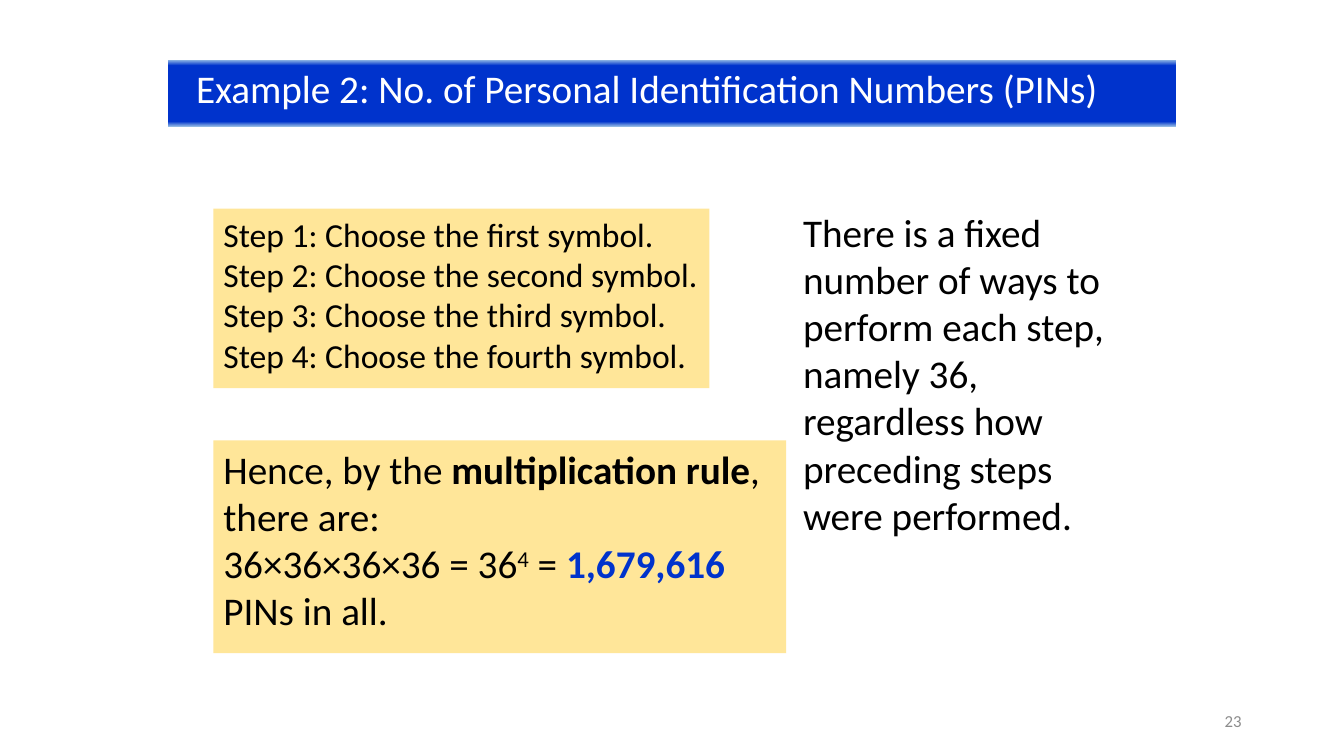
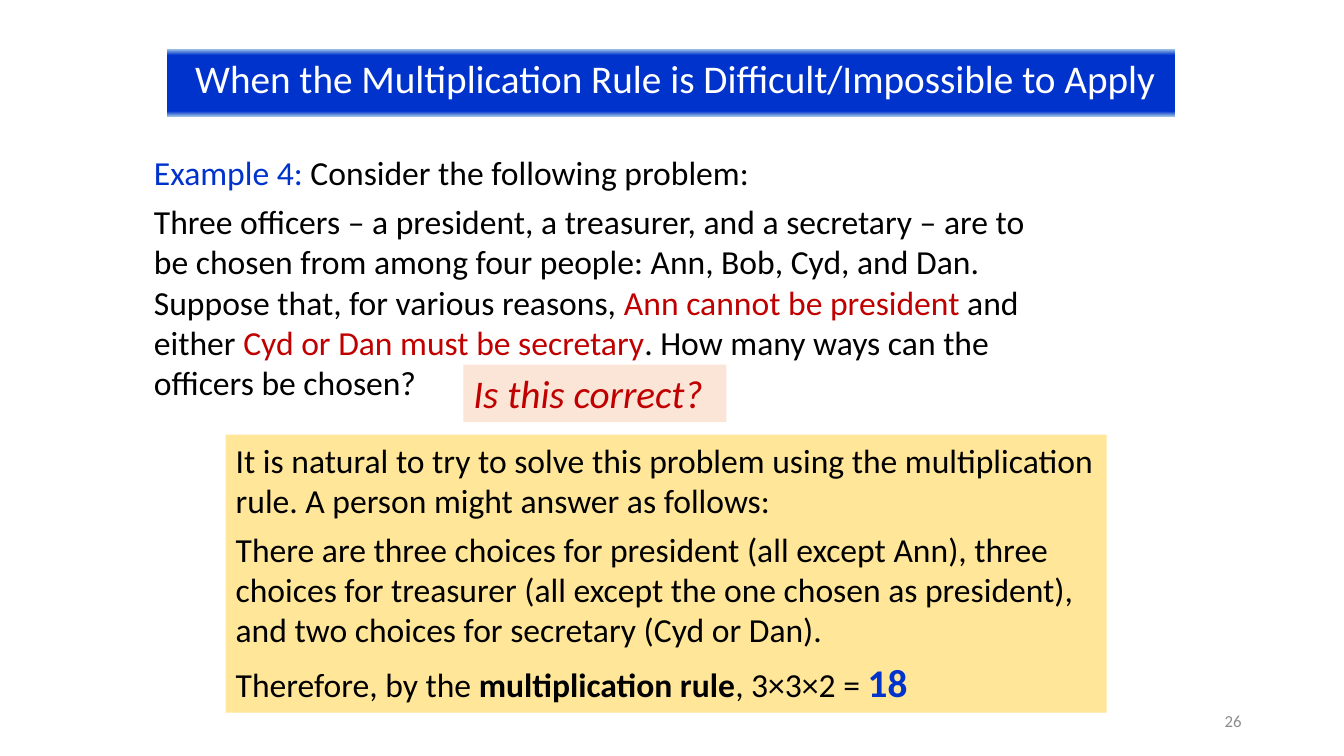
"""Build two slides on the multiplication rule."""
from lxml import etree
from pptx import Presentation
from pptx.dml.color import RGBColor
from pptx.enum.shapes import MSO_SHAPE
from pptx.enum.text import MSO_ANCHOR, MSO_AUTO_SIZE, PP_ALIGN
from pptx.oxml.ns import qn
from pptx.util import Cm, Pt

RECT = MSO_SHAPE.RECTANGLE
TOP, MIDDLE = MSO_ANCHOR.TOP, MSO_ANCHOR.MIDDLE
LEFT, RIGHT = PP_ALIGN.LEFT, PP_ALIGN.RIGHT
FIXED = MSO_AUTO_SIZE.NONE

HUES = {
    "black": "000000", "white": "FFFFFF", "gray": "8C8C8C",
    "blue": "0033CC", "sky": "9DC3E6", "red": "C00000",
    "sand": "FFE699", "peach": "FBE5D6",
}
STOPS = [(0, "sky"), (9, "blue"), (92, "blue"), (100, "sky")]
FACE = "Calibri"
STYLES = {
    "plain": {},
    "bold": {"bold": True},
    "blue": {"hue": "blue"},
    "red": {"hue": "red"},
    "query": {"hue": "red", "italic": True},
    "total": {"hue": "blue", "bold": True, "size": Pt(28)},
    "power": {"raised": True},
}


def color(hue):
    return RGBColor.from_string(HUES[hue])


def add_run(para, text, style, size, hue):
    run = para.add_run()
    run.text = text
    look = {"name": FACE, "size": Pt(size), "hue": hue, **STYLES[style]}
    run.font.color.rgb = color(look.pop("hue"))
    if look.pop("raised", False):
        run._r.get_or_add_rPr().set("baseline", "30000")
    for key, value in look.items():
        setattr(run.font, key, value)


def write(shape, paras, size, hue="black", align=LEFT, gap=0, **frame):
    text = shape.text_frame
    layout = {"word_wrap": True, "auto_size": FIXED, "vertical_anchor": TOP}
    for key, value in {**layout, **frame}.items():
        setattr(text, key, value)
    for index, runs in enumerate(paras):
        para = text.add_paragraph() if index else text.paragraphs[0]
        para.alignment = align
        if index and gap:
            para.space_before = Pt(gap)
        for item in runs:
            words, style = (item, "plain") if isinstance(item, str) else item
            add_run(para, words, style, size, hue)


def add_note(slide, place, paras, size, **look):
    box = slide.shapes.add_textbox(*map(Cm, place))
    write(box, paras, size, **look)


def add_card(slide, place, fill, paras, size, **look):
    card = slide.shapes.add_shape(RECT, *map(Cm, place))
    card.shadow.inherit = False
    card.fill.solid()
    card.fill.fore_color.rgb = color(fill)
    card.line.fill.background()
    write(card, paras, size, **look)


def fill_band(shape):
    shape.fill.gradient()
    shape.fill.gradient_angle = 270
    stops = shape.element.spPr.find(".//" + qn("a:gsLst"))
    stops.clear()
    for spot, hue in STOPS:
        stop = etree.SubElement(stops, qn("a:gs"), pos=str(spot * 1000))
        etree.SubElement(stop, qn("a:srgbClr"), val=HUES[hue])


def add_slide(deck, title, left, top, number):
    slide = deck.slides.add_slide(deck.slide_layouts[5])
    band = slide.shapes.title
    place = {"left": left, "top": top, "width": 25.4, "height": 1.7}
    for key, value in place.items():
        setattr(band, key, Cm(value))
    fill_band(band)
    write(band, [[title]], 28, "white", margin_left=Cm(0.7), margin_right=0)
    add_note(slide, (23.92, 17.65, 7.62, 1.02), [[number]], 12,
             hue="gray", align=RIGHT, vertical_anchor=MIDDLE)
    return slide


def add_pins(deck):
    slide = add_slide(
        deck, "Example 2: No. of Personal Identification Numbers (PINs)",
        4.24, 1.5, "23")
    ranks = ["first", "second", "third", "fourth"]
    steps = [[f"Step {count}: Choose the {rank} symbol."]
             for count, rank in enumerate(ranks, 1)]
    add_card(slide, (5.38, 5.26, 12.5, 4.52), "sand", steps, 24)
    add_note(slide, (19.99, 5.13, 8.2, 8.64), [[
        "There is a fixed number of ways to perform each step, namely 36, "
        "regardless how preceding steps were performed."]], 28)
    add_card(slide, (5.38, 11.1, 14.43, 5.36), "sand", [
        ["Hence, by the ", ("multiplication rule", "bold"), ", there are:"],
        ["36×36×36×36 = 36", ("4", "power"), " = ",
         ("1,679,616", "total"), " PINs in all."],
    ], 28)


def add_limits(deck):
    slide = add_slide(
        deck, "When the Multiplication Rule is Difficult/Impossible to Apply",
        4.22, 1.24, "26")
    add_note(slide, (3.63, 3.71, 22.71, 6.63), [
        [("Example 4:", "blue"), " Consider the following problem:"],
        ["Three officers – a president, a treasurer, and a secretary – are "
         "to be chosen from among four people: Ann, Bob, Cyd, and Dan. "
         "Suppose that, for various reasons, ",
         ("Ann cannot be president ", "red"), "and either ",
         ("Cyd or Dan must be secretary", "red"),
         ". How many ways can the officers be chosen?"],
    ], 24, gap=6)
    add_card(slide, (5.69, 10.95, 22.2, 7.01), "sand", [
        ["It is natural to try to solve this problem using the "
         "multiplication rule. A person might answer as follows:"],
        ["There are three choices for president (all except Ann), three "
         "choices for treasurer (all except the one chosen as president), "
         "and two choices for secretary (Cyd or Dan)."],
        ["Therefore, by the ", ("multiplication rule", "bold"),
         ", 3×3×2 = ", ("18", "total")],
    ], 24, gap=6)
    add_card(slide, (11.68, 9.19, 6.63, 1.45), "peach",
             [[("Is this correct?", "query")]], 28)


def main():
    deck = Presentation()
    deck.slide_width, deck.slide_height = Cm(33.87), Cm(19.05)
    add_pins(deck)
    add_limits(deck)
    deck.save("out.pptx")


if __name__ == "__main__":
    main()
